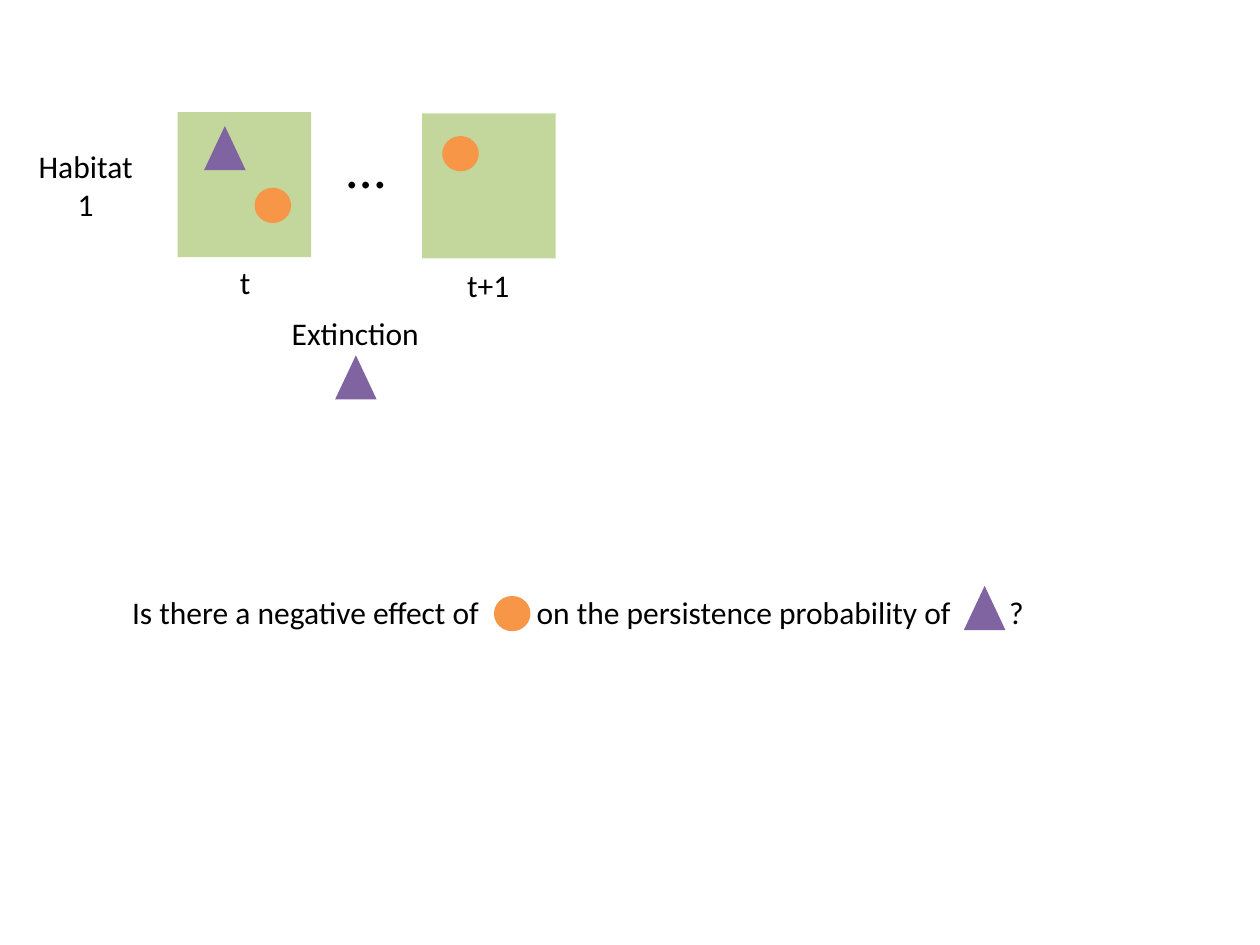
from lxml import etree
from pptx import Presentation
from pptx.dml.color import RGBColor
from pptx.enum import shapes, text
from pptx.oxml.ns import qn
from pptx.util import Inches, Pt

COLORS = {"habitat": "C3D69B", "triangle": "8064A2", "circle": "F79646", "text": "000000"}
KINDS = {
    "habitat": (shapes.MSO_SHAPE.RECTANGLE, 1.06, 1.15),
    "triangle": (shapes.MSO_SHAPE.ISOSCELES_TRIANGLE, 0.33, 0.35),
    "circle": (shapes.MSO_SHAPE.OVAL, 0.29, 0.28),
}

deck = Presentation()
deck.slide_width = Inches(10)
deck.slide_height = Inches(7.5)
page = deck.slides.add_slide(deck.slide_layouts[6])


def add_label(words, left, top, width, height, size=18,
              align=text.PP_ALIGN.CENTER, anchor=text.MSO_ANCHOR.TOP, tabs=()):
    box = page.shapes.add_textbox(Inches(left), Inches(top), Inches(width), Inches(height))
    frame = box.text_frame
    frame.word_wrap = False
    frame.auto_size = text.MSO_AUTO_SIZE.SHAPE_TO_FIT_TEXT
    frame.vertical_anchor = anchor
    frame.text = words
    for para in frame.paragraphs:
        para.alignment = align
        for span in para.runs:
            span.font.name = "Calibri"
            span.font.size = Pt(size)
            span.font.color.rgb = RGBColor.from_string(COLORS["text"])
        if tabs:
            stops = etree.SubElement(para._p.get_or_add_pPr(), qn("a:tabLst"))
            for stop in tabs:
                etree.SubElement(stops, qn("a:tab"), pos=str(Inches(stop)), algn="l")


def add_symbol(kind, left, top):
    preset, width, height = KINDS[kind]
    symbol = page.shapes.add_shape(preset, Inches(left), Inches(top), Inches(width), Inches(height))
    symbol.shadow.inherit = False
    symbol.fill.solid()
    symbol.fill.fore_color.rgb = RGBColor.from_string(COLORS[kind])
    symbol.line.fill.background()


add_label("Habitat\n1", 0.2, 1.12, 0.96, 0.71)
add_label("…", 2.65, 1, 0.51, 0.64, size=32, anchor=text.MSO_ANCHOR.MIDDLE)

for kind, left, top in [
    ("habitat", 1.41, 0.89),
    ("triangle", 1.62, 1),
    ("circle", 2.02, 1.49),
    ("habitat", 3.35, 0.9),
    ("circle", 3.51, 1.08),
    ("triangle", 2.66, 2.82),
]:
    add_symbol(kind, left, top)

add_label("t", 1.8, 2.04, 0.29, 0.4)
add_label("t+1", 3.61, 2.06, 0.54, 0.4, align=text.PP_ALIGN.LEFT)
add_label("Extinction", 2.21, 2.44, 1.22, 0.4)

add_label("Is there a negative effect of\ton the persistence probability of\t?",
          0.95, 4.66, 7.31, 0.4, align=text.PP_ALIGN.LEFT, tabs=(3.21, 6.96))
add_symbol("triangle", 7.65, 4.65)
add_symbol("circle", 3.92, 4.73)

deck.save("out.pptx")
